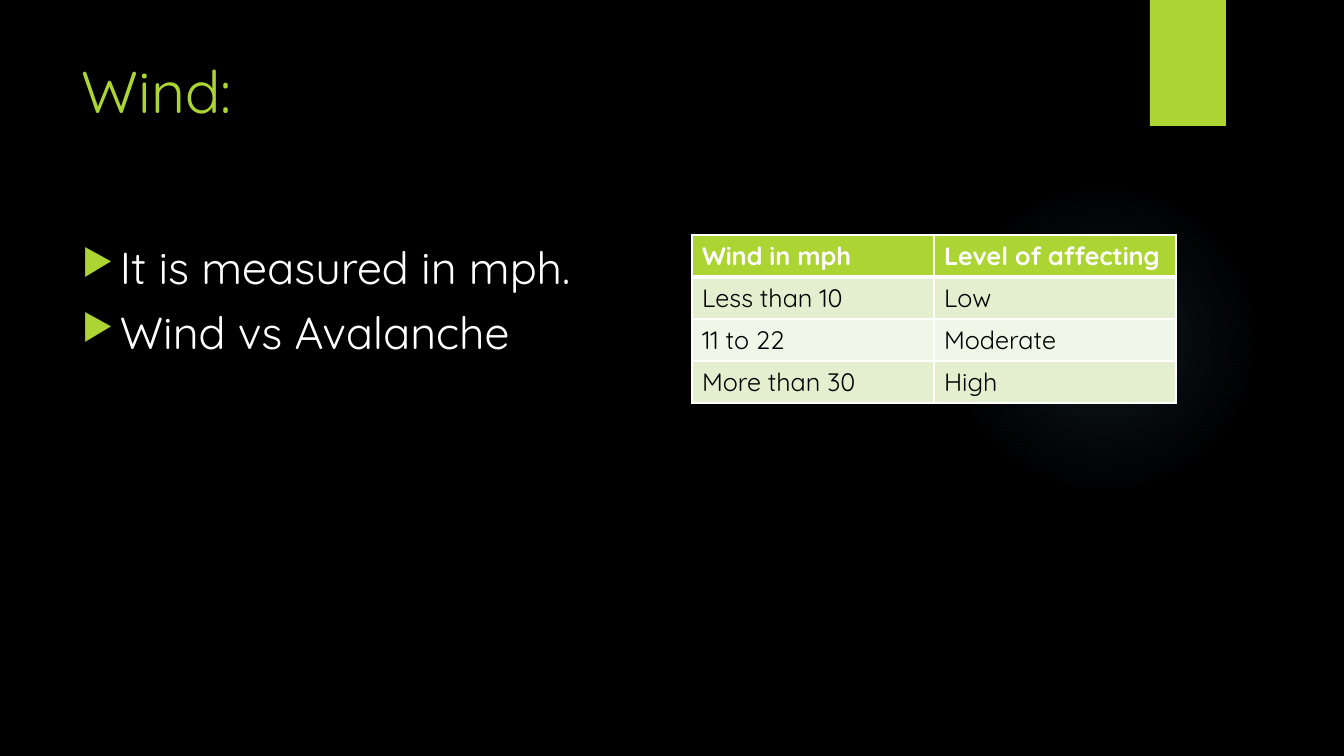
from lxml import etree
from pptx import Presentation
from pptx.dml.color import RGBColor as Rgb
from pptx.enum.shapes import MSO_SHAPE as Shape
from pptx.oxml import parse_xml
from pptx.oxml.ns import nsdecls, qn
from pptx.util import Pt

PX = 12192000 / 1344
FONT = "Quicksand"
HEX = {
    "back": "000000", "lime": "ACD433", "text": "FFFFFF", "ink": "000000",
    "glow": "7AC4F0", "odd": "E3EFCE", "even": "F1F7E8",
}


def emu(*sizes):
    return [round(size * PX) for size in sizes]


class Deck:
    def __init__(self):
        self.prs = Presentation()
        self.prs.slide_width, self.prs.slide_height = emu(1344, 756)
        self.slide = self.prs.slides.add_slide(self.prs.slide_layouts[6])
        self.paint(self.slide.background.fill, "back")

    def paint(self, fill, color):
        fill.solid()
        fill.fore_color.rgb = Rgb.from_string(HEX[color])

    def style(self, para, size, color, bold=False):
        for run in para.runs:
            font = run.font
            font.name, font.size, font.bold = FONT, Pt(size), bold
            font.color.rgb = Rgb.from_string(HEX[color])

    def shape(self, kind, box, color):
        shape = self.slide.shapes.add_shape(kind, *emu(*box))
        shape.shadow.inherit = False
        shape.line.fill.background()
        self.paint(shape.fill, color)
        return shape

    def glow(self, box, color, stops):
        shape = self.shape(Shape.OVAL, box, color)
        marks = "".join(
            f'<a:gs pos="{pos * 1000}"><a:srgbClr val="{HEX[color]}">'
            f'<a:alpha val="{alpha * 1000}"/></a:srgbClr></a:gs>'
            for pos, alpha in stops)
        grad = parse_xml(
            f'<a:gradFill {nsdecls("a")}><a:gsLst>{marks}</a:gsLst>'
            '<a:path path="circle"><a:fillToRect l="50000" t="50000" '
            'r="50000" b="50000"/></a:path></a:gradFill>')
        props = shape.element.spPr
        props.replace(props.find(qn("a:solidFill")), grad)

    def text(self, box, lines, size, color, mark=None):
        frame = self.slide.shapes.add_textbox(*emu(*box)).text_frame
        frame.word_wrap = True
        frame.text = "\n".join(lines)
        for para in frame.paragraphs:
            self.style(para, size, color)
            if mark:
                para.space_before = Pt(8)
                self.bullet(para, mark)

    def bullet(self, para, color):
        props = para._p.get_or_add_pPr()
        indent, = emu(38)
        props.set("marL", str(indent))
        props.set("indent", str(-indent))
        tint = etree.SubElement(props, qn("a:buClr"))
        etree.SubElement(tint, qn("a:srgbClr"), val=HEX[color])
        etree.SubElement(props, qn("a:buSzPct"), val="80000")
        etree.SubElement(props, qn("a:buChar"), char="▶")

    def border(self, cell, side, width, color):
        line = etree.SubElement(cell._tc.get_or_add_tcPr(),
                                qn(f"a:ln{side}"), w=str(Pt(width)))
        fill = etree.SubElement(line, qn("a:solidFill"))
        etree.SubElement(fill, qn("a:srgbClr"), val=HEX[color])

    def table(self, left, top, wide, high, rows, size):
        cols = len(rows[0])
        box = emu(left, top, wide * cols, high * len(rows))
        grid = self.slide.shapes.add_table(len(rows), cols, *box).table
        for r, row in enumerate(rows):
            head = r == 0
            for c, words in enumerate(row):
                cell = grid.cell(r, c)
                cell.text_frame.text = words
                self.style(cell.text_frame.paragraphs[0], size,
                           "text" if head else "ink", head)
                # The rule under the header is thicker
                thick = {"B": 3} if head else {"T": 3} if r == 1 else {}
                for side in "LRTB":
                    self.border(cell, side, thick.get(side, 1), "text")
                self.paint(cell.fill,
                           "lime" if head else "odd" if r % 2 else "even")


def main():
    deck = Deck()

    # Backdrop
    deck.glow((949, 184, 310, 310), "glow", [(0, 7), (36, 6), (69, 0)])
    deck.shape(Shape.RECTANGLE, (1150, 0, 76, 126), "lime")

    # Title and bullets
    deck.text((72, 50, 1037, 154), ["Wind:"], 42, "lime")
    deck.text((72, 235, 622, 286),
              ["It is measured in mph.", "Wind vs Avalanche"],
              32, "text", mark="lime")

    # Wind levels
    deck.table(692, 235, 242, 42, [
        ("Wind in mph", "Level of affecting"),
        ("Less than 10", "Low"),
        ("11 to 22", "Moderate"),
        ("More than 30", "High"),
    ], 18)

    deck.prs.save("out.pptx")


if __name__ == "__main__":
    main()
